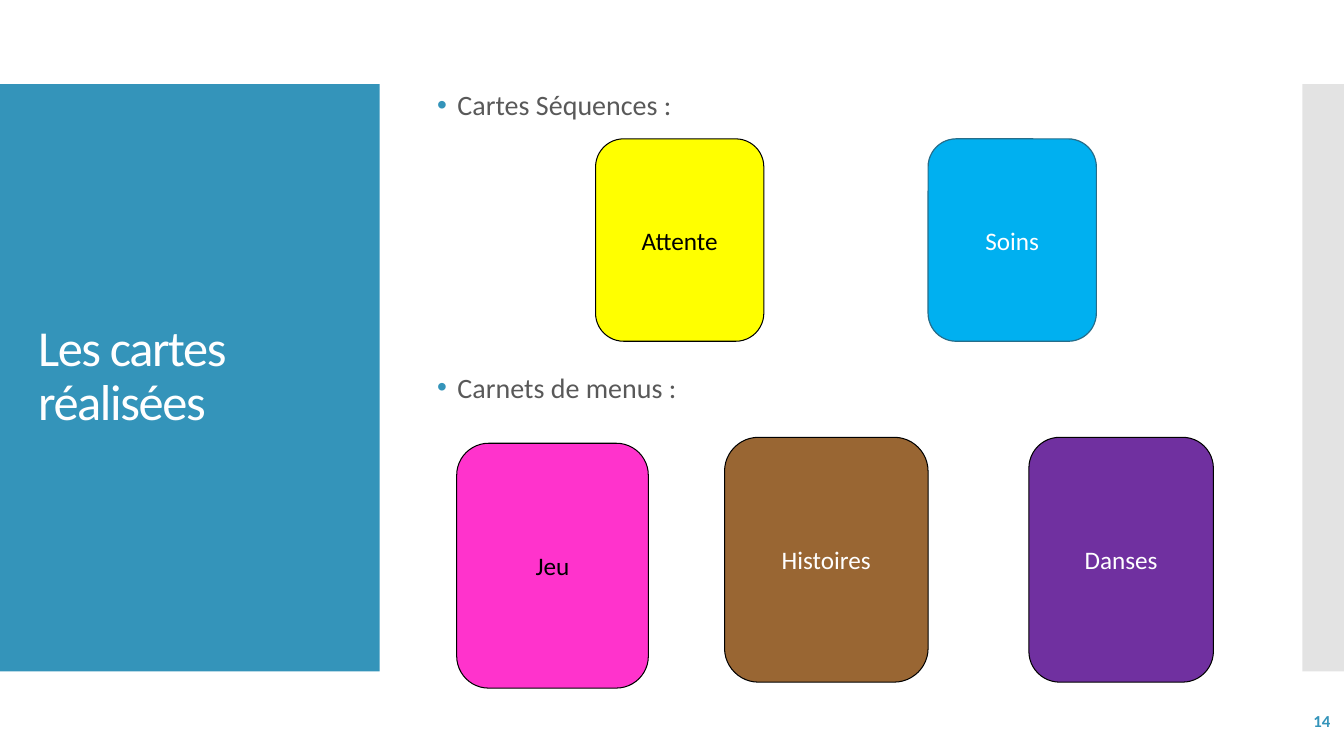
from lxml.etree import SubElement
from pptx import Presentation
from pptx.dml.color import RGBColor
from pptx.enum.shapes import MSO_SHAPE as Shape
from pptx.enum.text import MSO_ANCHOR as Anchor, PP_ALIGN as Align
from pptx.oxml.ns import qn
from pptx.util import Cm, Pt

TEAL = RGBColor(0x34, 0x94, 0xBA)
SILVER = RGBColor(0xC8, 0xC8, 0xC8)
GREY = RGBColor(0x59, 0x59, 0x59)
WHITE = RGBColor(0xFF, 0xFF, 0xFF)
BLACK = RGBColor(0, 0, 0)
YELLOW = RGBColor(0xFF, 0xFF, 0)
SKY = RGBColor(0, 0xB0, 0xF0)
DARK_TEAL = RGBColor(0x26, 0x6D, 0x8A)
PINK = RGBColor(0xFF, 0x33, 0xCC)
BROWN = RGBColor(0x99, 0x66, 0x33)
PURPLE = RGBColor(0x70, 0x30, 0xA0)


class SlideBuilder:
    font = "Calibri"

    def __init__(self, page):
        self.page = page

    def shape(self, kind, area, fill):
        shape = self.page.shapes.add_shape(kind, *map(Cm, area))
        shape.shadow.inherit = False
        shape.fill.solid()
        shape.fill.fore_color.rgb = fill
        return shape

    def panel(self, area, fill, opacity=100):
        panel = self.shape(Shape.RECTANGLE, area, fill)
        panel.line.fill.background()
        if opacity < 100:
            color = panel.fill._xPr.find(".//" + qn("a:srgbClr"))
            SubElement(color, qn("a:alpha"), val=str(opacity * 1000))

    def card(self, area, label, fill, color, outline=BLACK, weight=0.75):
        card = self.shape(Shape.ROUNDED_RECTANGLE, area, fill)
        card.line.color.rgb = outline
        card.line.width = Pt(weight)
        card.text_frame.vertical_anchor = Anchor.MIDDLE
        para = card.text_frame.paragraphs[0]
        para.alignment = Align.CENTER
        self.span(para, label, 18, color)

    def frame(self, area):
        frame = self.page.shapes.add_textbox(*map(Cm, area)).text_frame
        frame.word_wrap = True
        frame.vertical_anchor = Anchor.MIDDLE
        return frame

    def span(self, para, text, size, color, bold=False):
        span = para.add_run()
        span.text = text
        span.font.name = self.font
        span.font.size = Pt(size)
        span.font.bold = bold
        span.font.color.rgb = color
        return span

    def title(self, area, text):
        para = self.frame(area).paragraphs[0]
        para.line_spacing = 0.9
        span = self.span(para, text, 36, WHITE)
        span.font._element.set("spc", "-100")

    def bullets(self, area, items, gap):
        frame = self.frame(area)
        for index, item in enumerate(items):
            para = frame.add_paragraph() if index else frame.paragraphs[0]
            para.line_spacing = 0.9
            if index:
                para.space_before = Pt(gap)
            properties = para._p.get_or_add_pPr()
            properties.set("marL", str(Cm(0.51)))
            properties.set("indent", str(-Cm(0.51)))
            bullet_color = SubElement(properties, qn("a:buClr"))
            SubElement(bullet_color, qn("a:srgbClr"), val=str(TEAL))
            SubElement(properties, qn("a:buFont"), typeface="Arial")
            SubElement(properties, qn("a:buChar"), char="•")
            self.span(para, item, 20, GREY)

    def page_number(self, area, number):
        para = self.frame(area).paragraphs[0]
        para.alignment = Align.RIGHT
        para.space_after = Pt(6)
        self.span(para, number, 12, TEAL, bold=True)


def main():
    deck = Presentation()
    deck.slide_width, deck.slide_height = Cm(33.87), Cm(19.05)
    builder = SlideBuilder(deck.slides.add_slide(deck.slide_layouts[6]))

    # Side panels and title
    builder.panel((0, 2.12, 9.57, 14.8), TEAL)
    builder.panel((32.82, 2.12, 1.05, 14.8), SILVER, opacity=50)
    builder.title((0.71, 3.12, 8.18, 12.78), "Les cartes réalisées")

    # Section headings
    headings = ["Cartes Séquences :", "Carnets de menus :"]
    builder.bullets((10.77, 2.08, 20.32, 8.33), headings, gap=180)
    builder.page_number((29.54, 17.65, 4.24, 1.02), "14")

    # Sequence cards
    builder.card((15.01, 3.5, 4.24, 5.1), "Attente", YELLOW, BLACK)
    builder.card((23.39, 3.5, 4.24, 5.1), "Soins", SKY, WHITE, DARK_TEAL, 0.85)

    # Menu booklets
    for left, top, width, label, fill, color in [
        (11.51, 11.17, 4.83, "Jeu", PINK, BLACK),
        (18.26, 11.02, 5.13, "Histoires", BROWN, WHITE),
        (25.93, 11.02, 4.65, "Danses", PURPLE, WHITE),
    ]:
        builder.card((left, top, width, 6.17), label, fill, color)

    deck.save("out.pptx")


if __name__ == "__main__":
    main()
